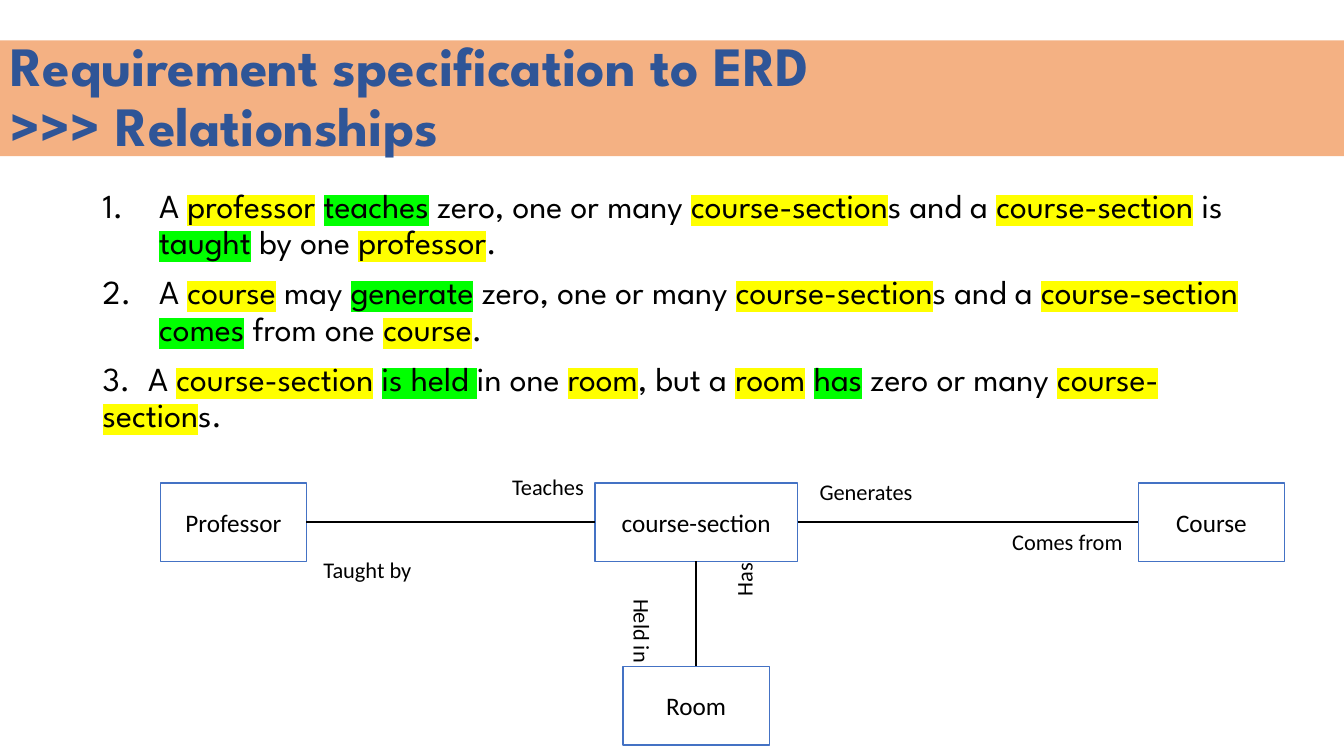
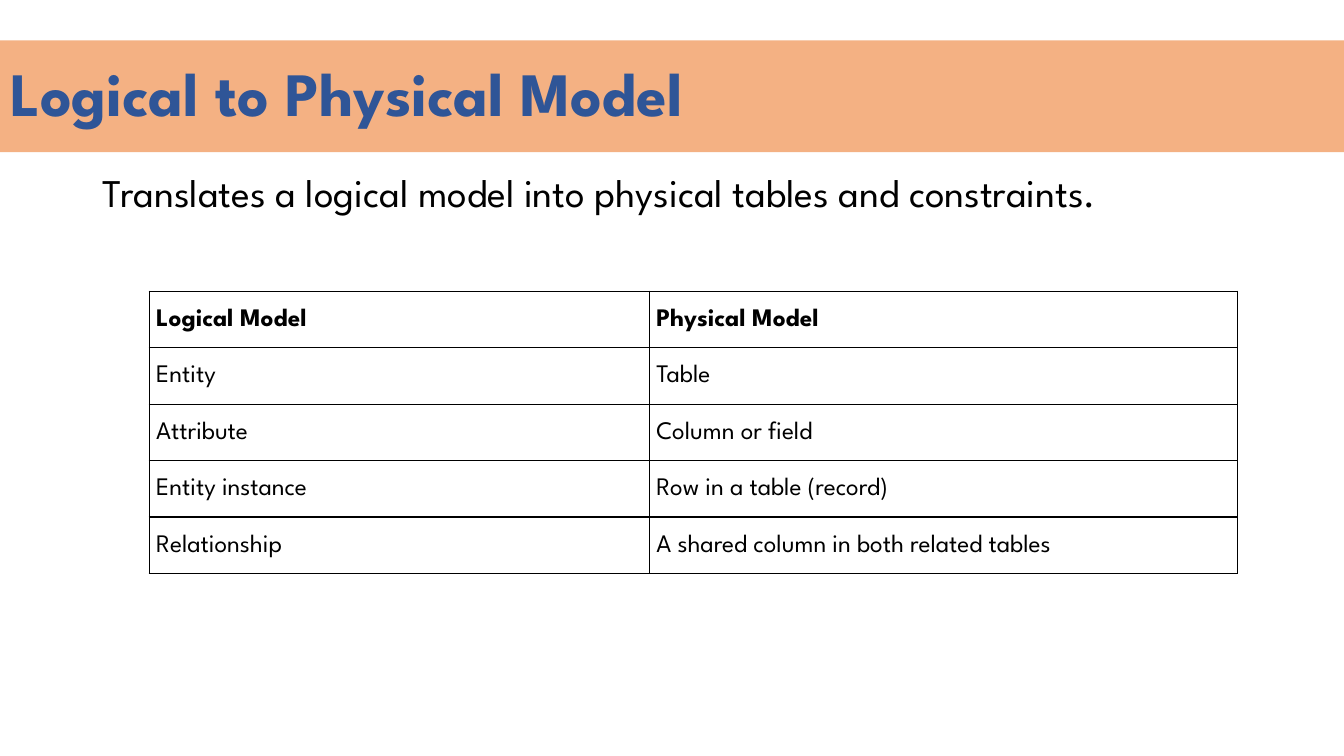
from dataclasses import dataclass

from lxml import etree
from pptx import Presentation
from pptx.dml.color import RGBColor
from pptx.enum.shapes import MSO_CONNECTOR, MSO_SHAPE
from pptx.enum.text import MSO_ANCHOR, MSO_AUTO_SIZE, PP_ALIGN
from pptx.oxml.ns import qn
from pptx.util import Inches, Pt

RECT = MSO_SHAPE.RECTANGLE
STRAIGHT = MSO_CONNECTOR.STRAIGHT
MIDDLE = MSO_ANCHOR.MIDDLE
LEFT, CENTER, JUSTIFY = PP_ALIGN.LEFT, PP_ALIGN.CENTER, PP_ALIGN.JUSTIFY
FIXED, GROW = MSO_AUTO_SIZE.NONE, MSO_AUTO_SIZE.SHAPE_TO_FIT_TEXT
TOP_SIDE, LEFT_SIDE, BOTTOM_SIDE, RIGHT_SIDE = range(4)


@dataclass(frozen=True)
class Theme:
    band: str = "F4B183"
    title: str = "2F5597"
    ink: str = "000000"
    paper: str = "FFFFFF"
    edge: str = "4472C4"
    noun: str = "FFFF00"
    verb: str = "00FF00"
    head_font: str = "League Spartan"
    node_font: str = "Calibri"
    title_size: float = 44
    long_size: float = 39.6
    lead_size: float = 28
    list_size: float = 24
    node_size: float = 18
    label_size: float = 16


THEME = Theme()
MARKS = {"*": THEME.noun, "+": THEME.verb}
WIDTH, HEIGHT = 13.33, 7.5

RULES = [
    "A |*professor| |+teaches| zero, one or many |*course-section|s and a "
    "|*course-section| is |+taught| by one |*professor|.",
    "A |*course| may |+generate| zero, one or many |*course-section|s and a "
    "|*course-section| |+comes| from one |*course|.",
    "3.\tA |*course-section| |+is held |in one |*room|, but a |*room| |+has"
    "| zero or many |*course-section|s.",
]
NODES = {
    "Professor": (0, 0, 1.45),
    "course-section": (4.31, 0, 2.01),
    "Course": (9.7, 0, 1.45),
    "Room": (4.59, 1.82, 1.45),
}
LINKS = [
    ("course-section", LEFT_SIDE, "Professor", RIGHT_SIDE),
    ("course-section", RIGHT_SIDE, "Course", LEFT_SIDE),
    ("course-section", BOTTOM_SIDE, "Room", TOP_SIDE),
]
LABELS = [
    ("Teaches", 3.39, -0.15, 0.92, 0),
    ("Taught by", 1.52, 0.68, 1.13, 0),
    ("Generates", 6.44, -0.1, 1.14, 0),
    ("Comes from", 8.35, 0.4, 1.31, 0),
    ("Held in", 4.36, 1.29, 0.84, 90),
    ("Has", 5.52, 0.77, 0.54, 270),
]
MODELS = [
    ("Logical Model", "Physical Model"),
    ("Entity", "Table"),
    ("Attribute", "Column or field"),
    ("Entity instance", "Row in a table (record)"),
    ("Relationship", "A shared column in both related tables"),
]


def inches(*sizes):
    return [Inches(size) for size in sizes]


def paint(fill, color):
    fill.solid()
    fill.fore_color.rgb = RGBColor.from_string(color)


def style(run, font, size, color=THEME.ink, bold=False):
    run.font.name = font
    run.font.size = Pt(size)
    run.font.bold = bold
    run.font.color.rgb = RGBColor.from_string(color)


def style_all(para, *look):
    for run in para.runs:
        style(run, *look)


def mark(run, color):
    light = etree.Element(qn("a:highlight"))
    etree.SubElement(light, qn("a:srgbClr"), val=color)
    run.font._element.find(qn("a:solidFill")).addnext(light)


def add_title(slide, text, size, height):
    title = slide.shapes.title
    title.left, title.top, title.width, title.height = inches(0, 0.4, WIDTH, height)
    paint(title.fill, THEME.band)
    frame = title.text_frame
    frame.text = text
    frame.auto_size = FIXED
    frame.word_wrap = True
    frame.vertical_anchor = MIDDLE
    para = frame.paragraphs[0]
    para.alignment = LEFT
    para.line_spacing = 0.9
    style_all(para, THEME.head_font, size, THEME.title, True)


def add_text(slide, box):
    frame = slide.shapes.add_textbox(*inches(*box)).text_frame
    frame.word_wrap = True
    return frame


def number(para):
    props = para._p.get_or_add_pPr()
    indent = Inches(0.56)
    props.set("marL", str(indent))
    props.set("indent", str(-indent))
    etree.SubElement(props, qn("a:buFont"), typeface="+mj-lt")
    etree.SubElement(props, qn("a:buAutoNum"), type="arabicPeriod")


def add_tab(para, place):
    tabs = etree.SubElement(para._p.get_or_add_pPr(), qn("a:tabLst"))
    etree.SubElement(tabs, qn("a:tab"), pos=str(Inches(place)), algn="l")


def add_rules(slide, box):
    frame = add_text(slide, box)
    for index, rule in enumerate(RULES):
        para = frame.add_paragraph() if index else frame.paragraphs[0]
        if "\t" in rule:
            add_tab(para, 0.45)
        else:
            number(para)
        para.line_spacing = 0.9
        if index:
            para.space_before = Pt(10)
        for part in rule.split("|"):
            color = MARKS.get(part[0])
            run = para.add_run()
            run.text = part[1:] if color else part
            style(run, THEME.head_font, THEME.list_size)
            if color:
                mark(run, color)


def add_node(slide, text, box):
    node = slide.shapes.add_shape(RECT, *inches(*box))
    node.shadow.inherit = False
    paint(node.fill, THEME.paper)
    paint(node.line.fill, THEME.edge)
    node.line.width = Pt(1)
    frame = node.text_frame
    frame.text = text
    frame.vertical_anchor = MIDDLE
    para = frame.paragraphs[0]
    para.alignment = CENTER
    style_all(para, THEME.node_font, THEME.node_size)
    return node


def add_link(slide, start, start_side, end, end_side):
    link = slide.shapes.add_connector(STRAIGHT, 0, 0, 0, 0)
    link.begin_connect(start, start_side)
    link.end_connect(end, end_side)
    paint(link.line.fill, THEME.ink)
    link.line.width = Pt(1.5)
    etree.SubElement(link._element.spPr, qn("a:effectLst"))


def add_label(slide, text, box, angle):
    label = slide.shapes.add_textbox(*inches(*box))
    label.rotation = angle
    frame = label.text_frame
    frame.text = text
    frame.word_wrap = False
    frame.auto_size = GROW
    style_all(frame.paragraphs[0], THEME.node_font, THEME.label_size)


def add_diagram(slide, left, top):
    nodes = {
        name: add_node(slide, name, (left + x, top + y, width, 0.78))
        for name, (x, y, width) in NODES.items()
    }
    for start, start_side, end, end_side in LINKS:
        add_link(slide, nodes[start], start_side, nodes[end], end_side)
    for text, x, y, width, angle in LABELS:
        add_label(slide, text, (left + x, top + y, width, 0.37), angle)


def add_lead(slide, text, box):
    frame = add_text(slide, box)
    frame.text = text
    para = frame.paragraphs[0]
    para.line_spacing = 0.9
    style_all(para, THEME.head_font, THEME.lead_size)


def border(cell):
    props = cell._tc.get_or_add_tcPr()
    for side in ("lnL", "lnR", "lnT", "lnB"):
        line = etree.SubElement(props, qn("a:" + side), w=str(Pt(1)))
        fill = etree.SubElement(line, qn("a:solidFill"))
        etree.SubElement(fill, qn("a:srgbClr"), val=THEME.ink)


def fill_cell(cell, text, bold):
    border(cell)
    cell.fill.background()
    cell.margin_left = cell.margin_right = Inches(0.07)
    cell.margin_top = cell.margin_bottom = 0
    cell.vertical_anchor = MIDDLE
    cell.text_frame.text = text
    para = cell.text_frame.paragraphs[0]
    para.alignment = JUSTIFY
    para.line_spacing = 1.07
    style_all(para, THEME.head_font, THEME.node_size, THEME.ink, bold)


def add_models(slide, box, widths):
    table = slide.shapes.add_table(len(MODELS), len(widths), *inches(*box)).table
    table.first_row = table.horz_banding = False
    for column, width in zip(table.columns, widths):
        column.width = Inches(width)
    for row, texts in enumerate(MODELS):
        for column, text in enumerate(texts):
            fill_cell(table.cell(row, column), text, row == 0)


def build_erd(slide):
    text = "Requirement specification to ERD\v>>> Relationships"
    add_title(slide, text, THEME.long_size, 1.15)
    add_rules(slide, (0.92, 1.83, 11.83, 2.64))
    add_diagram(slide, 1.59, 4.79)


def build_model(slide):
    add_title(slide, "Logical to Physical Model", THEME.title_size, 1.11)
    lead = "Translates a logical model into physical tables and constraints."
    add_lead(slide, lead, (0.92, 1.67, 12.24, 1.12))
    add_models(slide, (1.48, 2.89, 10.79, 2.8), (4.96, 5.83))


def main():
    deck = Presentation()
    deck.slide_width, deck.slide_height = inches(WIDTH, HEIGHT)
    layout = deck.slide_layouts.get_by_name("Title Only")
    for build in (build_erd, build_model):
        build(deck.slides.add_slide(layout))
    deck.save("out.pptx")


if __name__ == "__main__":
    main()
